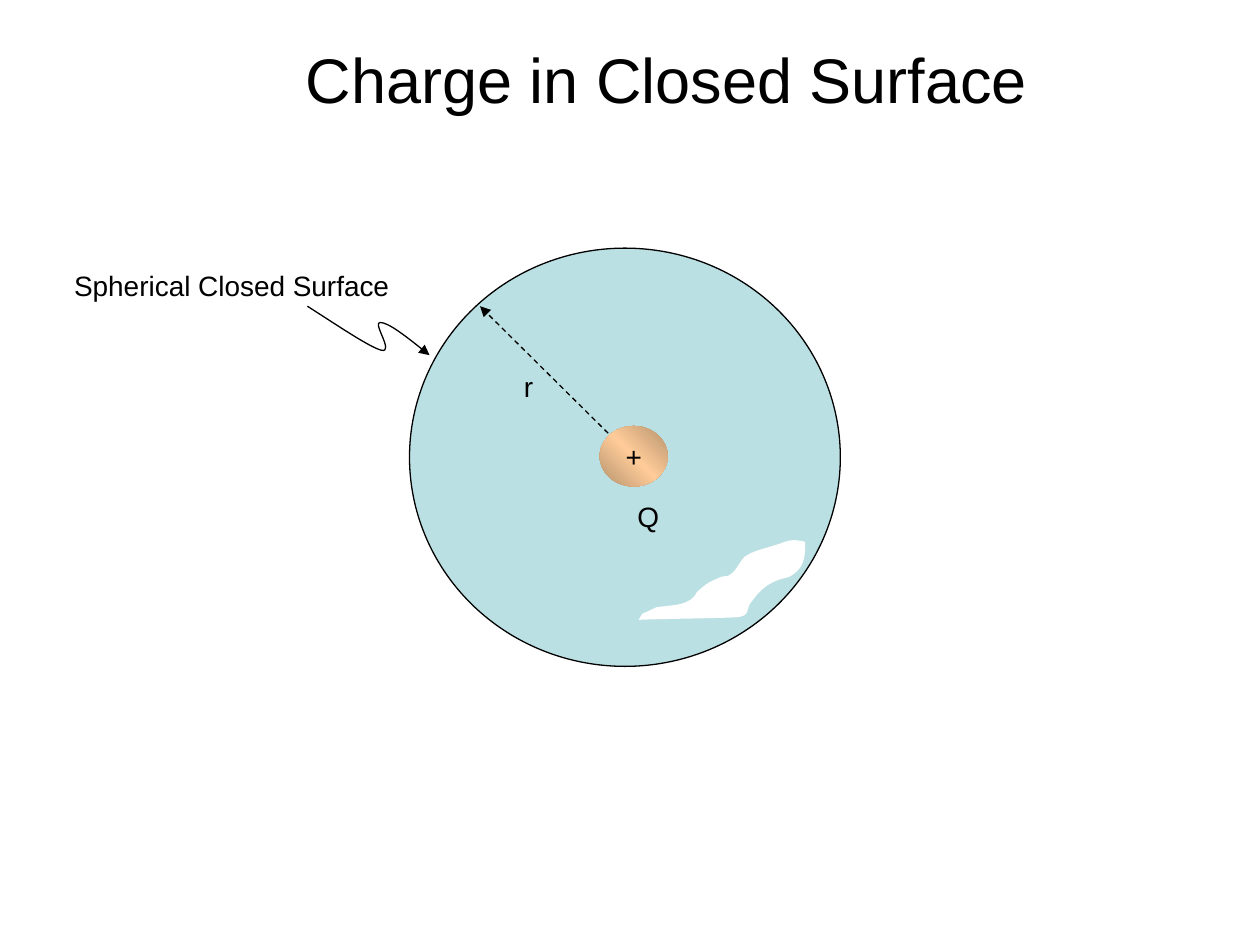
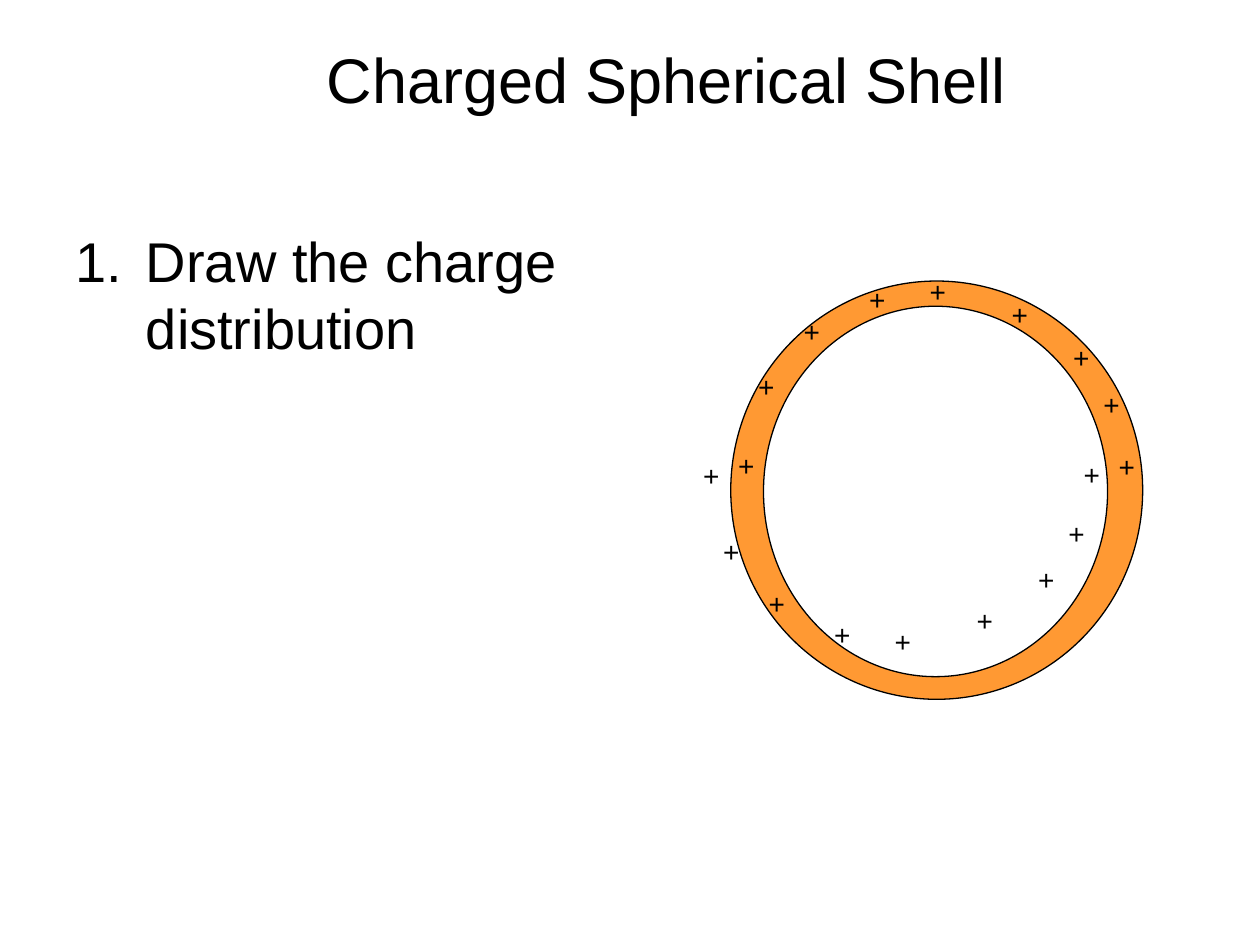
from lxml.etree import SubElement
from pptx import Presentation
from pptx.dml.color import RGBColor
from pptx.enum.dml import MSO_LINE
from pptx.enum.shapes import MSO_CONNECTOR, MSO_SHAPE
from pptx.enum.text import MSO_ANCHOR, MSO_AUTO_SIZE, PP_ALIGN
from pptx.oxml import parse_xml
from pptx.oxml.ns import nsdecls, qn
from pptx.util import Pt

FONT = "Arial"
BLACK, WHITE, AQUA, ORANGE = "000000", "FFFFFF", "BBE0E3", "FF9933"
CHARGE_STOPS = [(0, "B6926D"), (50, "FFCC99"), (100, "B6926D")]
TITLE_BOX = (126, 0, 509.76, 90)
LABEL_H = 26.6

# Slide 1: boxes are left, top, width, height; curves are a start and Bezier points
SURFACE = (234, 141.8, 246.2, 239)
CHARGE = (342.7, 243.4, 38.9, 34.6)
RADIUS = (362.2, 262.1, 274.3, 175)
LABELS = [("Spherical Closed Surface", 35.3, 149.8, 194.4),
          ("Q", 357.1, 282.2, 27.4), ("r", 292.3, 207.4, 20.2)]
POINTER = [(245.5, 203), (234, 193.7), (221.8, 184.3), (217.4, 184.3),
           (212.4, 183.6), (225.4, 201.6), (218.2, 200.2),
           (211.7, 198.7), (193.7, 186.5), (175.7, 175)]
HIGHLIGHT = [(365, 354.2), (383.8, 353.5), (402.5, 353.5), (420.5, 352.8),
             (429.8, 352.1), (425.5, 347.8), (429.8, 343.4),
             (435.6, 335.5), (440.6, 331.9), (450.7, 329.8),
             (460.1, 324.7), (460.1, 318.2), (460.1, 309.6),
             (450.7, 307.4), (450, 309.6), (442.1, 311.8),
             (435.6, 313.9), (430.6, 314.6), (425.5, 318.2),
             (421.9, 321.8), (421.2, 326.2), (416.2, 329),
             (414.7, 329.8), (412.6, 329), (411.8, 329.8),
             (403.2, 333.4), (403.2, 334.1), (398.2, 338.4),
             (394.6, 346.3), (384.5, 345.6), (375.1, 347),
             (365, 352.1), (367.9, 349.2), (365, 354.2)]

# Slide 2
STEP = "Draw the charge distribution"
STEP_BOX = (36, 126, 319.7, 356.4)
SHELL = [((417.6, 160.6, 235.4, 239), ORANGE),
         ((436.3, 175, 196.6, 211.7), WHITE)]
PLUS_W = 23.8
UPPER_PLUSES = [(414.7, 252.7), (632.2, 253.4), (524.2, 153.4), (452.2, 176.4),
                (606.2, 190.8), (571, 166.3), (489.6, 157.7), (426.2, 207.4),
                (623.5, 218.2)]
# The lower charges are the upper ones, turned over, flattened and shifted left
LOWER_SHIFT, LOWER_BASE, LOWER_SCALE = -20, 500.4, 0.957


def rgb(color):
    """Turn a hex string into a colour."""
    return RGBColor.from_string(color)


def pts(values):
    """Turn numbers into lengths in points."""
    return [Pt(v) for v in values]


def add_run(p, text, size=16):
    """Add one black run to a paragraph."""
    r = p.add_run()
    r.text = text
    r.font.name, r.font.size = FONT, Pt(size)
    r.font.color.rgb = rgb(BLACK)


def new_slide(prs, title):
    """Add a title-only slide with the shared title style."""
    s = prs.slides.add_slide(prs.slide_layouts[5])
    sp = s.shapes.title
    sp.left, sp.top, sp.width, sp.height = pts(TITLE_BOX)
    tf = sp.text_frame
    tf.vertical_anchor = MSO_ANCHOR.MIDDLE
    p = tf.paragraphs[0]
    p.alignment = PP_ALIGN.CENTER
    add_run(p, title, 36)
    return s


def add_label(s, text, left, top, width):
    """Add a one-line label that does not wrap."""
    tf = s.shapes.add_textbox(*pts((left, top, width, LABEL_H))).text_frame
    tf.word_wrap = False
    tf.auto_size = MSO_AUTO_SIZE.SHAPE_TO_FIT_TEXT
    add_run(tf.paragraphs[0], text)


def style(sp, fill=None, line=None):
    """Set fill and line of a shape, None meaning empty, and drop the shadow."""
    sp.shadow.inherit = False
    if fill:
        sp.fill.solid()
        sp.fill.fore_color.rgb = rgb(fill)
    else:
        sp.fill.background()
    if line:
        set_line(sp, line)
    else:
        sp.line.fill.background()


def set_line(sp, color):
    """Give a shape or connector a thin line."""
    sp.line.color.rgb = rgb(color)
    sp.line.width = Pt(0.75)


def add_ellipse(s, box, fill=None, line=None):
    """Add an ellipse."""
    sp = s.shapes.add_shape(MSO_SHAPE.OVAL, *pts(box))
    style(sp, fill, line)
    return sp


def add_arrowhead(sp, end):
    """Put a triangle at headEnd or tailEnd of a line."""
    ln = sp._element.spPr.find(qn("a:ln"))
    SubElement(ln, qn("a:" + end), type="triangle")


def add_curve(s, points, close, fill=None, line=None):
    """Draw a freeform, turning each three segments into one Bezier curve."""
    builder = s.shapes.build_freeform(*pts(points[0]))
    builder.add_line_segments([pts(xy) for xy in points[1:]], close=close)
    sp = builder.convert_to_shape()
    segments = list(sp._element.iter(qn("a:lnTo")))
    for i in range(0, len(segments), 3):
        curve = parse_xml(f"<a:cubicBezTo {nsdecls('a')}/>")
        segments[i].addprevious(curve)
        for segment in segments[i:i + 3]:
            curve.append(segment[0])
            segment.getparent().remove(segment)
    style(sp, fill, line)
    return sp


def add_radius(s, ends):
    """Draw the dashed radius arrow."""
    sp = s.shapes.add_connector(MSO_CONNECTOR.STRAIGHT, *pts(ends))
    set_line(sp, BLACK)
    sp.line.dash_style = MSO_LINE.DASH
    add_arrowhead(sp, "tailEnd")
    SubElement(sp._element.spPr, qn("a:effectLst"))


def add_charge(s, box):
    """Draw the central charge with its diagonal gradient and plus sign."""
    sp = add_ellipse(s, box)
    stops = "".join(f'<a:gs pos="{pos * 1000}"><a:srgbClr val="{c}"/></a:gs>'
                    for pos, c in CHARGE_STOPS)
    gradient = parse_xml(f'<a:gradFill {nsdecls("a")}><a:gsLst>{stops}</a:gsLst>'
                         '<a:lin ang="18900000" scaled="1"/></a:gradFill>')
    spPr = sp._element.spPr
    spPr.replace(spPr.find(qn("a:noFill")), gradient)
    tf = sp.text_frame
    tf.word_wrap = False
    tf.vertical_anchor = MSO_ANCHOR.MIDDLE
    p = tf.paragraphs[0]
    p.alignment = PP_ALIGN.CENTER
    add_run(p, "+")


def add_step(s, text, box):
    """Add the numbered step with a hanging indent."""
    tf = s.shapes.add_textbox(*pts(box)).text_frame
    tf.word_wrap = True
    p = tf.paragraphs[0]
    p.space_before = Pt(6.4)
    add_run(p, text, 32)
    pPr = p._p.get_or_add_pPr()
    pPr.set("marL", str(Pt(40.3)))
    pPr.set("indent", str(-Pt(40.3)))
    SubElement(pPr, qn("a:buFont"), typeface="+mj-lt")
    SubElement(pPr, qn("a:buAutoNum"), type="arabicPeriod")


def closed_surface(prs):
    """Build the slide with a charge inside a sphere."""
    s = new_slide(prs, "Charge in Closed Surface")
    add_ellipse(s, SURFACE, AQUA, BLACK)
    add_arrowhead(add_curve(s, POINTER, False, line=BLACK), "headEnd")
    add_radius(s, RADIUS)
    add_charge(s, CHARGE)
    for label in LABELS:
        add_label(s, *label)
    add_curve(s, HIGHLIGHT, True, fill=WHITE)


def spherical_shell(prs):
    """Build the slide with the charged shell."""
    s = new_slide(prs, "Charged Spherical Shell")
    add_step(s, STEP, STEP_BOX)
    for box, fill in SHELL:
        add_ellipse(s, box, fill, BLACK)
    lower = [(x + LOWER_SHIFT, LOWER_BASE - LOWER_SCALE * y)
             for x, y in UPPER_PLUSES]
    for x, y in lower + UPPER_PLUSES:
        add_label(s, "+", x, y, PLUS_W)


prs = Presentation()
prs.slide_width, prs.slide_height = Pt(720), Pt(540)
closed_surface(prs)
spherical_shell(prs)
prs.save("out.pptx")
